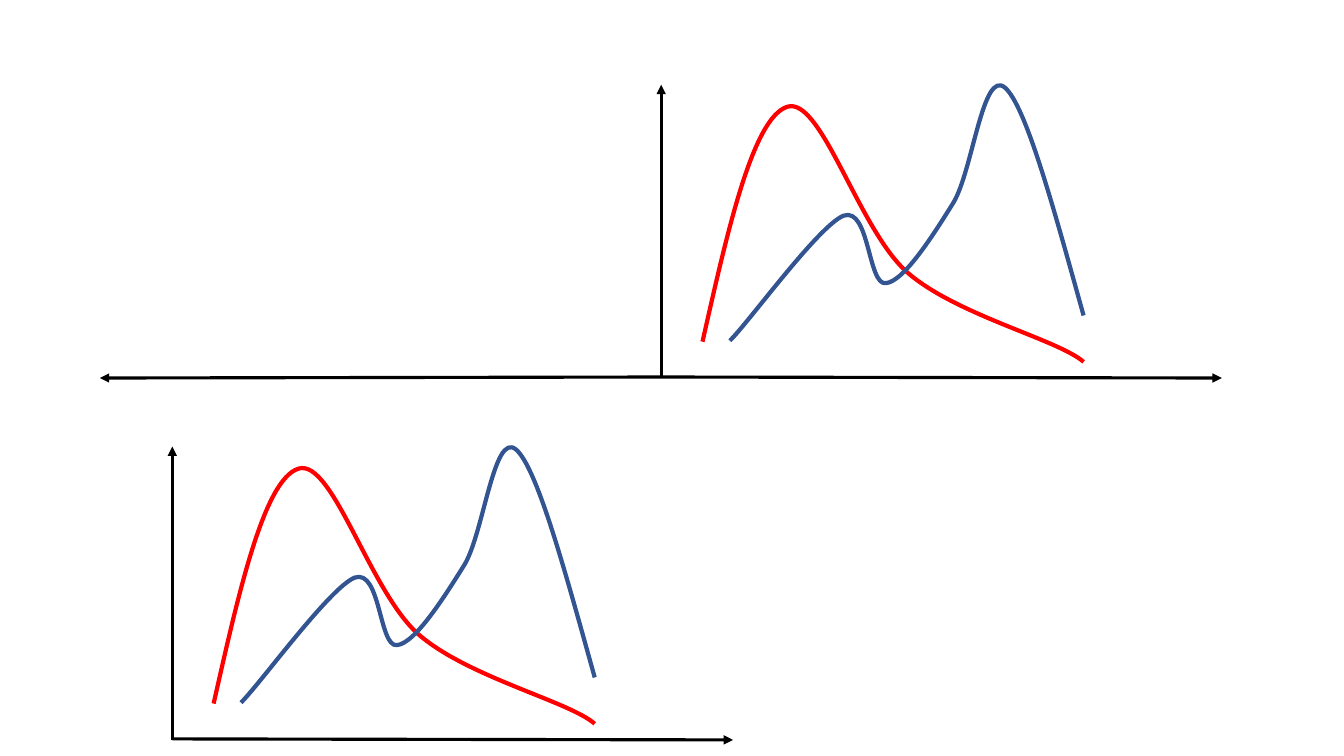
from lxml import etree
from pptx import Presentation
from pptx.dml.color import RGBColor
from pptx.enum import shapes
from pptx.oxml import ns
from pptx.util import Pt

BLACK = RGBColor(0x00, 0x00, 0x00)
RED = RGBColor(0xFF, 0x00, 0x00)
BLUE = RGBColor(0x32, 0x54, 0x91)

# All points are offsets from a plot's origin, in points.
UP = ((0, 0), (0, -209.5))
RIGHT = ((0, -0.7), (400.5, 0))
LEFT = ((0, -0.7), (-401, 0))

# Bezier curves: a start, then two control points and an end per segment.
CURVES = [
    (RED, [(29.5, -25.9),
           (47.5, -105.8), (65.5, -185.8), (90, -193.7),
           (114.5, -201.6), (141.1, -105.1), (176.4, -74.9),
           (211.7, -44.6), (283.7, -27.4), (301.7, -11.5)]),
    (BLUE, [(301.7, -44.6),
            (280.8, -119.5), (260.6, -194.4), (245.5, -207.4),
            (229.7, -221), (222.5, -148.3), (208.8, -125.3),
            (194.4, -102.2), (173.5, -69.1), (160.6, -67.7),
            (147.6, -65.5), (149, -122.4), (130.3, -115.9),
            (112.3, -108.7), (61.9, -38.9), (49, -26.6)]),
]

PLOTS = [
    ((472.3, 270), [UP, RIGHT, LEFT]),
    ((123.1, 528.5), [UP, RIGHT]),
]


def place(origin, point):
    return Pt(origin[0] + point[0]), Pt(origin[1] + point[1])


def add_axis(slide, origin, start, end):
    axis = slide.shapes.add_connector(
        shapes.MSO_CONNECTOR.STRAIGHT, *place(origin, start), *place(origin, end))
    axis.line.color.rgb = BLACK
    axis.line.width = Pt(2.25)
    etree.SubElement(axis.line._get_or_add_ln(), ns.qn("a:tailEnd"), type="triangle")
    etree.SubElement(axis._element.spPr, ns.qn("a:effectLst"))


def add_curve(slide, origin, color, points):
    """Draw the segment ends as a freeform, then bend each segment."""
    placed = [place(origin, point) for point in points]
    builder = slide.shapes.build_freeform(*placed[0])
    builder.add_line_segments(placed[3::3], close=False)
    curve = builder.convert_to_shape()
    curve.shadow.inherit = False
    curve.fill.background()
    curve.line.color.rgb = color
    curve.line.width = Pt(3)

    segments = list(curve._element.iter(ns.qn("a:lnTo")))
    for number, segment in enumerate(segments):
        segment.tag = ns.qn("a:cubicBezTo")
        first = 1 + 3 * number
        for index, (x, y) in enumerate(placed[first:first + 2]):
            control = etree.Element(
                ns.qn("a:pt"), x=str(x - curve.left), y=str(y - curve.top))
            segment.insert(index, control)


def main():
    deck = Presentation()
    deck.slide_width, deck.slide_height = Pt(960), Pt(540)
    slide = deck.slides.add_slide(deck.slide_layouts[6])
    for origin, axes in PLOTS:
        for start, end in axes:
            add_axis(slide, origin, start, end)
        for color, points in CURVES:
            add_curve(slide, origin, color, points)
    deck.save("out.pptx")


if __name__ == "__main__":
    main()
